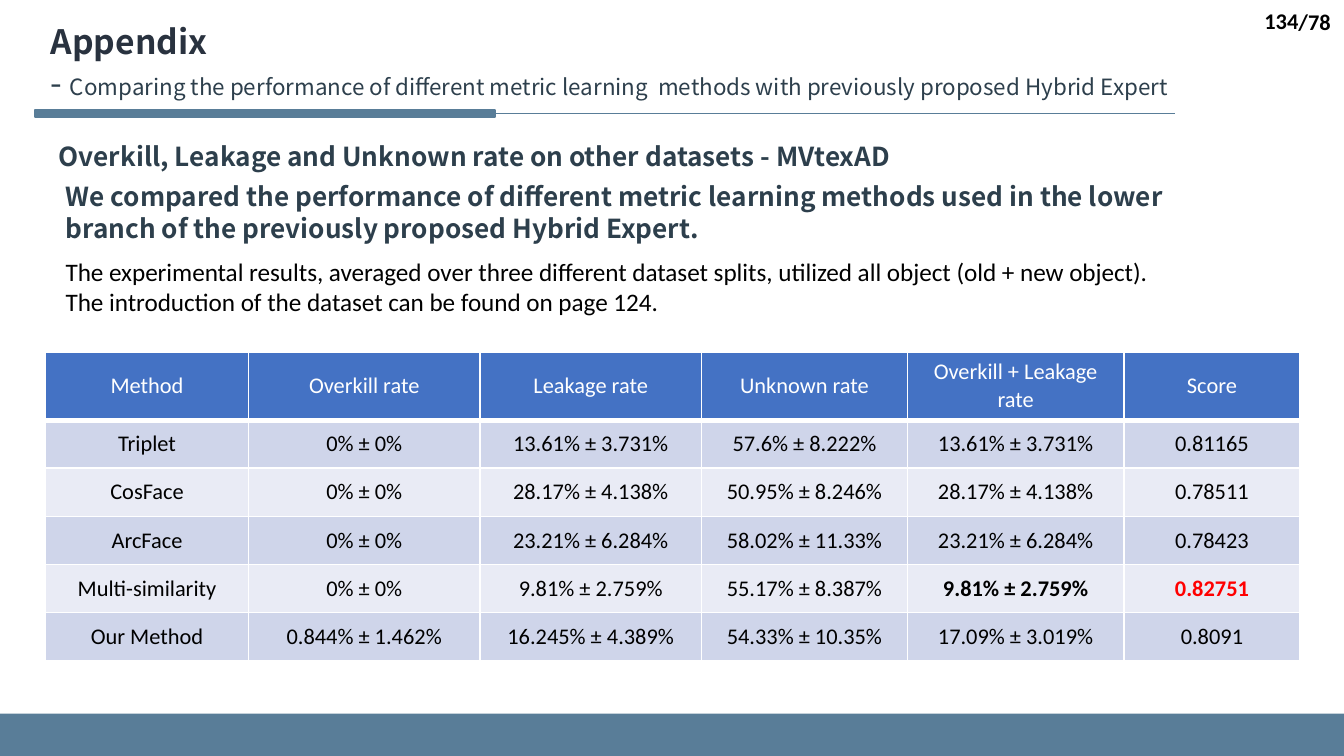
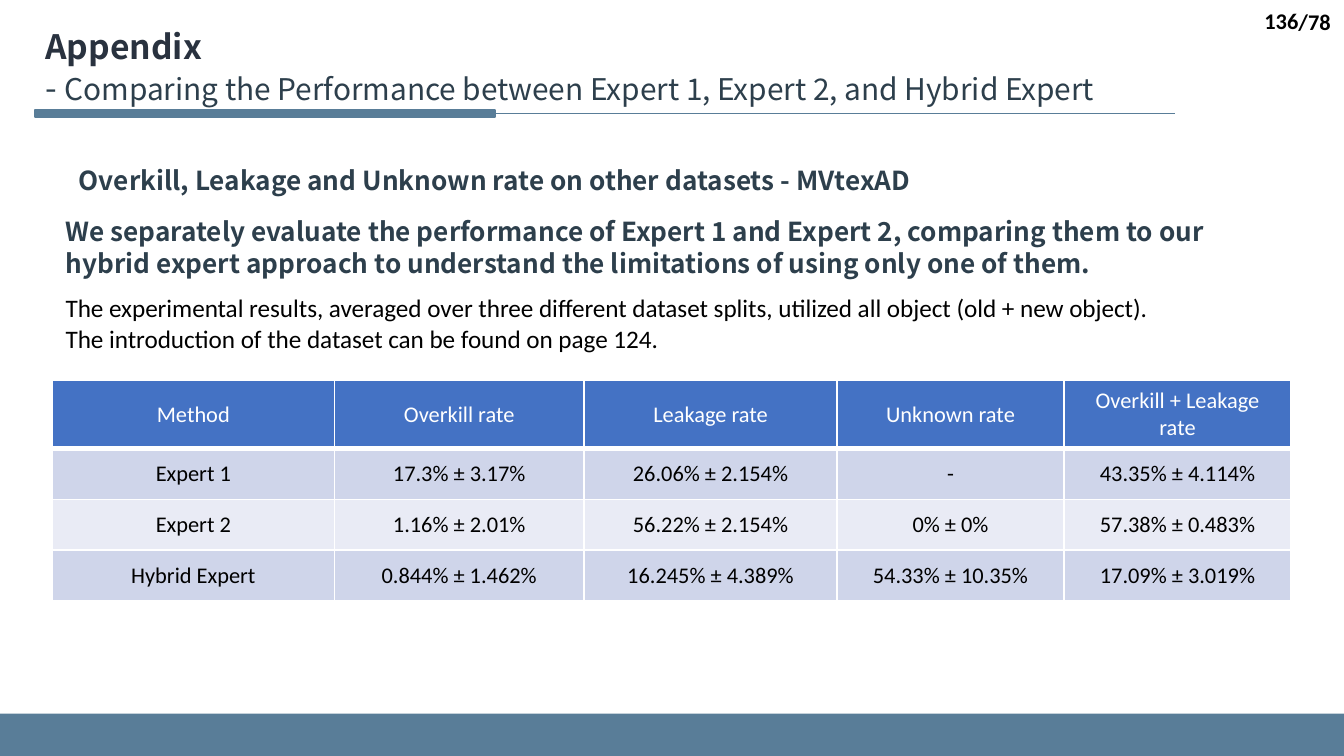
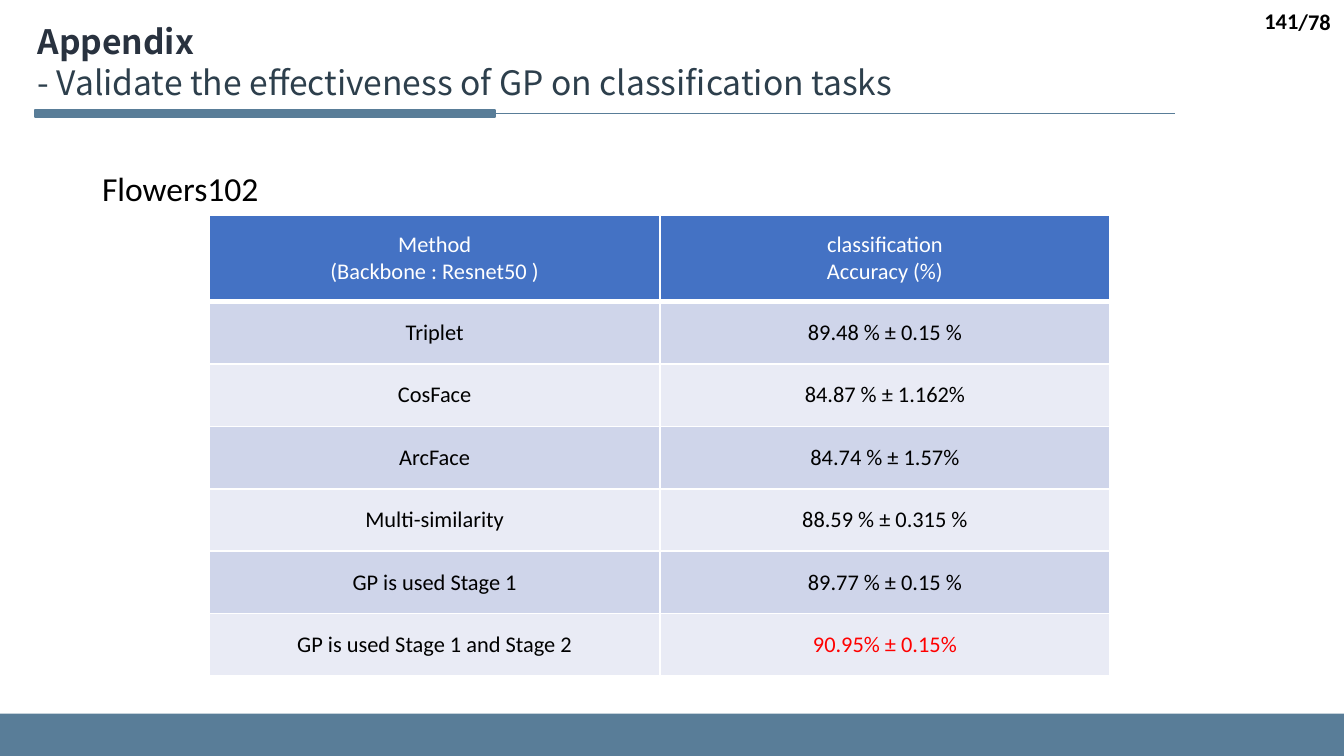
from dataclasses import dataclass

from lxml import etree
from pptx import Presentation
from pptx.dml.color import RGBColor
from pptx.enum.shapes import MSO_CONNECTOR, MSO_SHAPE
from pptx.enum.text import MSO_ANCHOR, PP_ALIGN
from pptx.oxml.ns import qn
from pptx.util import Cm, Pt

LEFT, MID, RIGHT = PP_ALIGN.LEFT, PP_ALIGN.CENTER, PP_ALIGN.RIGHT
TOP, CENTER = MSO_ANCHOR.TOP, MSO_ANCHOR.MIDDLE
RECT, LINE = MSO_SHAPE.RECTANGLE, MSO_CONNECTOR.STRAIGHT


@dataclass(frozen=True)
class Theme:
    sans: str = "Noto Sans CJK SC"
    body: str = "Calibri"
    steel: str = "597D98"
    navy: str = "29323F"
    slate: str = "2D3F4C"
    black: str = "000000"
    white: str = "FFFFFF"
    red: str = "FF0000"
    blue: str = "4472C4"
    bands: tuple = ("CFD5EA", "E9EBF5")
    title: float = 18
    head: float = 14
    note: float = 13.5
    cell: float = 12
    pitch: float = 1.22


T = Theme()

TOPIC = "Overkill, Leakage and Unknown rate on other datasets - MVtexAD"
NOTE = (
    "The experimental results, averaged over three different dataset splits, "
    "utilized all object (old + new object).\n"
    "The introduction of the dataset can be found on page 124."
)
RATES = ["Method", "Overkill rate", "Leakage rate", "Unknown rate",
         "Overkill + Leakage\nrate"]

SLIDES = [
    {
        "page": "134",
        "title": ("Comparing the performance of different metric learning  methods "
                  "with previously proposed Hybrid Expert", 12, 0.71, 0.25),
        "texts": [
            ("head", TOPIC, (0.86, 2.51, 18.85, 0.86)),
            ("note", NOTE, (0.99, 4.72, 22.99, 1.42)),
            ("head", "We compared the performance of different metric learning methods "
             "used in the lower branch of the previously proposed Hybrid Expert.",
             (0.99, 3.28, 22.86, 1.45)),
        ],
        "table": {
            "at": (0.86, 6.65),
            "cols": [3.84, 4.37, 4.19, 3.89, 4.09, 3.33],
            "tall": (1.29, 0.91),
            "inset": (0.33, 0.18),
            "rows": [
                RATES + ["Score"],
                ["Triplet", "0% ± 0%", "13.61% ± 3.731%", "57.6% ± 8.222%",
                 "13.61% ± 3.731%", "0.81165"],
                ["CosFace", "0% ± 0%", "28.17% ± 4.138%", "50.95% ± 8.246%",
                 "28.17% ± 4.138%", "0.78511"],
                ["ArcFace", "0% ± 0%", "23.21% ± 6.284%", "58.02% ± 11.33%",
                 "23.21% ± 6.284%", "0.78423"],
                ["Multi-similarity", "0% ± 0%", "9.81% ± 2.759%", "55.17% ± 8.387%",
                 "9.81% ± 2.759%", "0.82751"],
                ["Our Method", "0.844% ± 1.462%", "16.245% ± 4.389%",
                 "54.33% ± 10.35%", "17.09% ± 3.019%", "0.8091"],
            ],
            "marks": {(4, 4): (T.black, True), (4, 5): (T.red, True)},
        },
    },
    {
        "page": "136",
        "title": ("Comparing the Performance between Expert 1, Expert 2, "
                  "and Hybrid Expert", 16, 0.61, 0.36),
        "texts": [
            ("head", TOPIC, (1.24, 2.97, 18.85, 0.86)),
            ("head", "We separately evaluate the performance of Expert 1 and Expert 2, "
             "comparing them to our hybrid expert approach to understand the "
             "limitations of using only one of them.", (0.99, 3.94, 22.56, 1.45)),
            ("note", NOTE, (0.99, 5.41, 22.99, 1.42)),
        ],
        "table": {
            "at": (0.99, 7.19),
            "cols": [5.33, 4.72, 4.78, 4.29, 4.29],
            "tall": (1.29, 0.96),
            "inset": (0.33, 0.18),
            "rows": [
                RATES,
                ["Expert 1", "17.3% ± 3.17%", "26.06% ± 2.154%", "-",
                 "43.35% ± 4.114%"],
                ["Expert 2", "1.16% ± 2.01%", "56.22% ± 2.154%", "0% ± 0%",
                 "57.38% ± 0.483%"],
                ["Hybrid Expert", "0.844% ± 1.462%", "16.245% ± 4.389%",
                 "54.33% ± 10.35%", "17.09% ± 3.019%"],
            ],
            "marks": {},
        },
    },
    {
        "page": "141",
        "title": ("Validate the effectiveness of GP on classification tasks",
                  18, 0.46, 0.25),
        "texts": [("label", "Flowers102", (1.68, 3.05, 4.6, 1.02))],
        "table": {
            "at": (3.96, 4.06),
            "cols": [8.51, 8.51],
            "tall": (1.64, 1.18),
            "inset": (0.25, 0.13),
            "rows": [
                ["Method\n(Backbone : Resnet50 )", "classification\nAccuracy (%)"],
                ["Triplet", "89.48 % ± 0.15 %"],
                ["CosFace", "84.87 % ± 1.162%"],
                ["ArcFace", "84.74 % ± 1.57%"],
                ["Multi-similarity", "88.59 % ± 0.315 %"],
                ["GP is used Stage 1", "89.77 % ± 0.15 %"],
                ["GP is used Stage 1 and Stage 2", "90.95% ± 0.15%"],
            ],
            "marks": {(6, 1): (T.red, False)},
        },
    },
]

STYLES = {
    "head": (T.sans, T.head, T.slate, True),
    "note": (T.body, T.note, T.black, False),
    "label": (T.body, T.title, T.black, False),
    "page": (T.body, T.cell, T.black, True),
}


def paint(fill, color):
    fill.solid()
    fill.fore_color.rgb = RGBColor.from_string(color)


def style(run, face, size, color, bold):
    font = run.font
    font.name, font.size, font.bold = face, Pt(size), bold
    font.color.rgb = RGBColor.from_string(color)


def dress(frame, look, align):
    face, size = look[:2]
    for para in frame.paragraphs:
        para.alignment = align
        if face == T.sans:
            para.line_spacing = Pt(round(size * T.pitch, 1))
        for run in para.runs:
            style(run, *look)


def add_text(slide, text, box, look, align=LEFT, anchor=TOP):
    frame = slide.shapes.add_textbox(*map(Cm, box)).text_frame
    frame.word_wrap = True
    frame.vertical_anchor = anchor
    frame.text = text
    dress(frame, look, align)
    return frame


def add_bar(slide, box):
    bar = slide.shapes.add_shape(RECT, *map(Cm, box))
    bar.shadow.inherit = False
    paint(bar.fill, T.steel)
    return bar


def add_frame(slide, page):
    add_bar(slide, (0, 13.49, 25.4, 0.8)).line.fill.background()
    rule = slide.shapes.add_connector(LINE, Cm(22.2), Cm(2.14), Cm(0.67), Cm(2.14))
    rule.line.width = Pt(0.5)
    paint(rule.line.fill, T.steel)
    etree.SubElement(rule.element.spPr, qn("a:effectLst"))
    bar = add_bar(slide, (0.67, 2.08, 8.69, 0.13))
    bar.line.width = Pt(1)
    paint(bar.line.fill, T.steel)
    for text, box in (("/78", (24.23, 0.03, 1.17, 0.76)),
                      (page, (19.69, 0, 5.1, 0.79))):
        add_text(slide, text, box, STYLES["page"], RIGHT, CENTER)


def add_title(slide, text, size, left, top):
    frame = add_text(slide, "Appendix\n- ", (left, top, 24.2, 1.8),
                     (T.sans, T.title, T.navy, True))
    line = frame.paragraphs[1]
    style(line.runs[0], T.sans, T.title, T.slate, False)
    run = line.add_run()
    run.text = text
    style(run, T.sans, size, T.slate, False)


def edge(cell, base):
    props = cell._tc.get_or_add_tcPr()
    for spot, (side, width) in enumerate(zip("LRTB", (1, 1, 1, base))):
        line = etree.Element(qn("a:ln" + side), w=str(Pt(width)))
        fill = etree.SubElement(line, qn("a:solidFill"))
        etree.SubElement(fill, qn("a:srgbClr"), val=T.white)
        props.insert(spot, line)


def add_grid(slide, at, cols, tall, inset, rows, marks):
    first, rest = tall
    high = first + rest * (len(rows) - 1)
    grid = slide.shapes.add_table(
        len(rows), len(cols), *map(Cm, (*at, sum(cols), high))).table
    for col, wide in zip(grid.columns, cols):
        col.width = Cm(wide)
    for r, row in enumerate(rows):
        grid.rows[r].height = Cm(rest if r else first)
        for c, text in enumerate(row):
            cell = grid.cell(r, c)
            cell.text = text
            cell.vertical_anchor = CENTER
            if r and c:
                cell.margin_left = cell.margin_right = Cm(inset[0])
                cell.margin_top = cell.margin_bottom = Cm(inset[1])
            paint(cell.fill, T.bands[(r - 1) % 2] if r else T.blue)
            edge(cell, 1 if r else 3)
            plain = (T.black if r else T.white, False)
            color, bold = marks.get((r, c), plain)
            dress(cell.text_frame, (T.body, T.cell, color, bold), MID)


def main():
    deck = Presentation()
    deck.slide_width, deck.slide_height = Cm(25.4), Cm(14.29)
    for data in SLIDES:
        slide = deck.slides.add_slide(deck.slide_layouts[6])
        add_frame(slide, data["page"])
        add_grid(slide, **data["table"])
        add_title(slide, *data["title"])
        for kind, text, box in data["texts"]:
            add_text(slide, text, box, STYLES[kind])
    deck.save("out.pptx")


if __name__ == "__main__":
    main()
